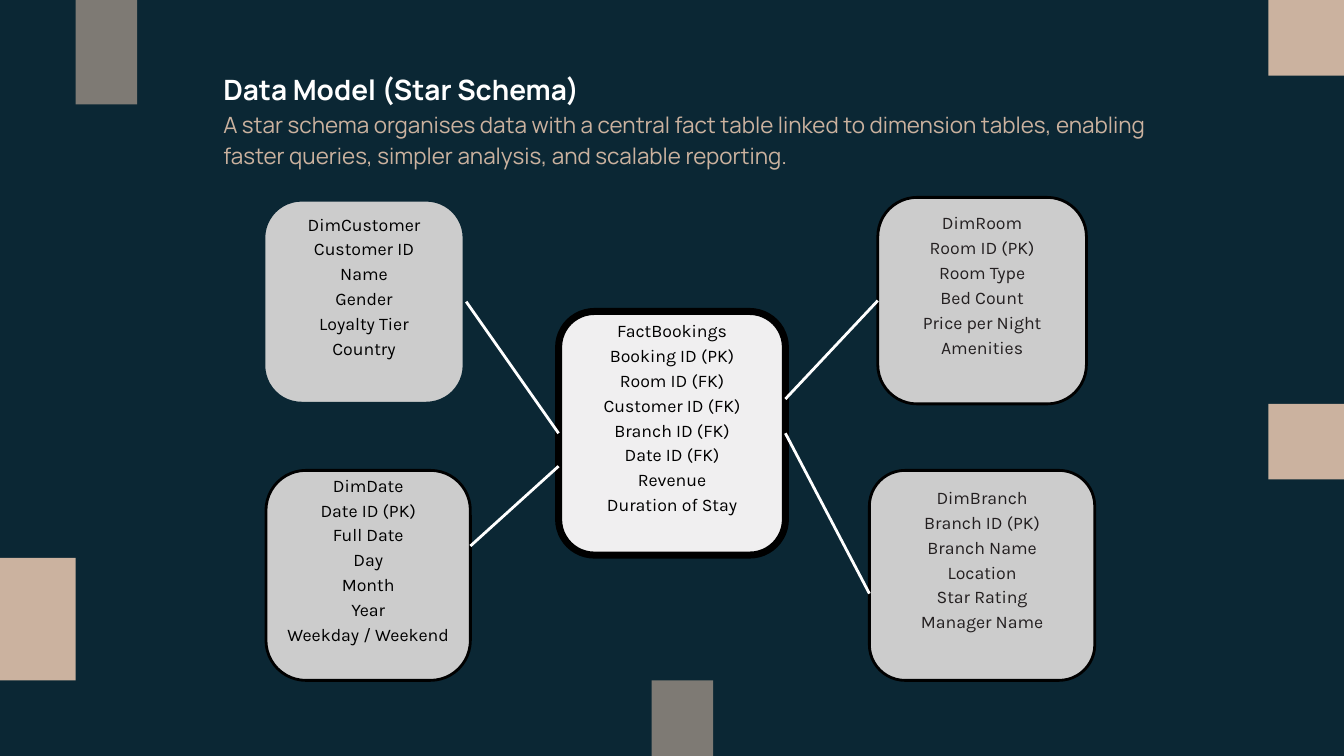
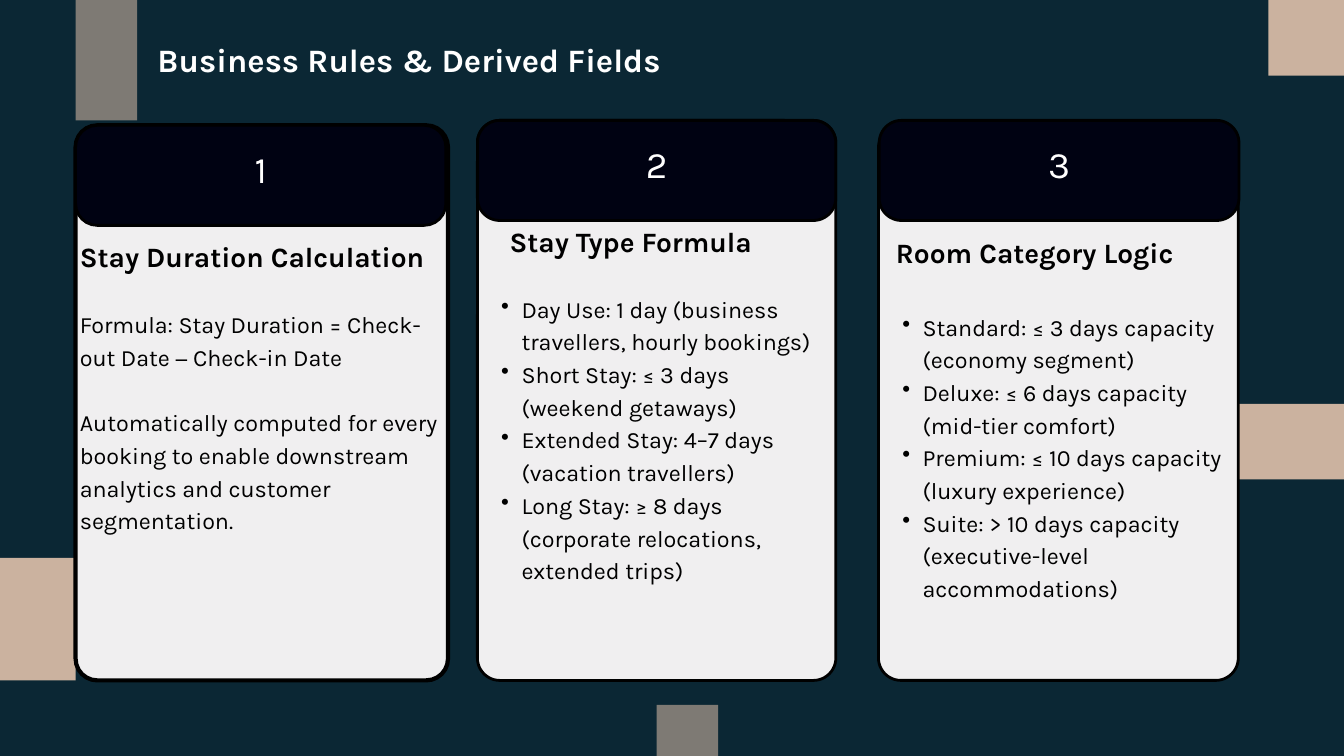
from lxml.etree import SubElement
from pptx import Presentation
from pptx.dml.color import RGBColor
from pptx.enum.shapes import MSO_CONNECTOR, MSO_SHAPE
from pptx.enum.text import MSO_ANCHOR, MSO_AUTO_SIZE, PP_ALIGN
from pptx.oxml.ns import qn
from pptx.util import Emu, Pt

NAVY = RGBColor(0x0B, 0x27, 0x34)
SAND = RGBColor(0xCB, 0xB2, 0x9F)
INK = RGBColor(0x00, 0x02, 0x12)
BLACK = RGBColor(0x00, 0x00, 0x00)
CHARCOAL = RGBColor(0x23, 0x1F, 0x20)
GREY = RGBColor(0xCC, 0xCC, 0xCC)
PALE = RGBColor(0xF0, 0xEF, 0xF0)
WHITE = RGBColor(0xFF, 0xFF, 0xFF)

KARLA = "Karla"
MANROPE = "Manrope"
TITLE_ONLY = 5
LEFT_SIDE, RIGHT_SIDE = 1, 3
INSET = 6
TEXT_RISE = 15  # entity text starts this far above its frame
ENTITY_FOOT = 41  # space kept free below the entity text


def px(length):
    """96 px to the inch."""
    return Emu(length * 9525)


def place(area):
    return [px(length) for length in area]


# Text

def set_frame(shape, margins=(0, 0, 0, 0), anchor=MSO_ANCHOR.TOP):
    frame = shape.text_frame
    frame.word_wrap = True
    frame.auto_size = MSO_AUTO_SIZE.NONE
    frame.vertical_anchor = anchor
    (frame.margin_left, frame.margin_top,
     frame.margin_right, frame.margin_bottom) = place(margins)
    return frame


def style(paragraph, font, size, color, bold=False, align=PP_ALIGN.LEFT,
          before=0, leading=1.4):
    paragraph.alignment = align
    paragraph.line_spacing = Pt(size * leading)
    paragraph.space_before = Pt(before)
    paragraph.font.name = font
    paragraph.font.size = Pt(size)
    paragraph.font.bold = bold
    paragraph.font.color.rgb = color


def write(frame, lines, *look, **more):
    for index, line in enumerate(lines):
        paragraph = frame.paragraphs[0] if index == 0 else frame.add_paragraph()
        paragraph.text = line
        style(paragraph, *look, **more)


def indent(paragraph, left, first=0, bullet=False):
    properties = paragraph._p.get_or_add_pPr()
    properties.set("marL", str(px(left)))
    properties.set("indent", str(px(first)))
    if bullet:
        SubElement(properties, qn("a:buChar")).set("char", "•")


def set_title(page, text, area, font, size):
    title = page.shapes.title
    title.left, title.top, title.width, title.height = place(area)
    write(set_frame(title), [text], font, size, WHITE, bold=True)


# Shapes

def add_block(page, area, opacity=None):
    block = page.shapes.add_shape(MSO_SHAPE.RECTANGLE, *place(area))
    block.shadow.inherit = False
    block.fill.solid()
    block.fill.fore_color.rgb = SAND
    block.line.fill.background()
    if opacity:
        color = block.fill._xPr.find(".//" + qn("a:srgbClr"))
        SubElement(color, qn("a:alpha")).set("val", str(opacity * 1000))


def add_rounded(page, area, radius, fill, line, weight):
    shape = page.shapes.add_shape(MSO_SHAPE.ROUNDED_RECTANGLE, *place(area))
    shape.shadow.inherit = False
    shape.adjustments[0] = radius / min(area[2:])
    shape.fill.solid()
    shape.fill.fore_color.rgb = fill
    shape.line.color.rgb = line
    shape.line.width = Pt(weight)
    return shape


def add_page(deck, top_height, foot, right_left):
    """Title page with the blocks along its edges."""
    page = deck.slides.add_slide(deck.slide_layouts[TITLE_ONLY])
    page.background.fill.solid()
    page.background.fill.fore_color.rgb = NAVY
    add_block(page, (1812, 0, 108, 108))
    add_block(page, (0, 797, 108, 175))
    add_block(page, (*foot, 88, 272), opacity=60)
    add_block(page, (108, -179, 88, top_height), opacity=60)
    add_block(page, (right_left, 577, 2108 - right_left, 108))
    return page


def add_entity(page, area, radius, fields, color=BLACK, fill=GREY,
               line=BLACK, weight=3):
    entity = add_rounded(page, area, radius, fill, line, weight)
    left, top, width, height = area
    box = page.shapes.add_textbox(
        *place((left, top - TEXT_RISE, width, height + TEXT_RISE)))
    frame = set_frame(box, (INSET, INSET, INSET, ENTITY_FOOT), MSO_ANCHOR.MIDDLE)
    write(frame, fields, KARLA, 19, color, align=PP_ALIGN.CENTER)
    return entity


def add_link(page, start, end):
    """Each end is a point, or a shape with the number of its side."""
    link = page.shapes.add_connector(MSO_CONNECTOR.STRAIGHT, 0, 0, 0, 0)
    if isinstance(start[0], int):
        link.begin_x, link.begin_y = place(start)
    else:
        link.begin_connect(*start)
    if isinstance(end[0], int):
        link.end_x, link.end_y = place(end)
    else:
        link.end_connect(*end)
    link.line.color.rgb = WHITE
    link.line.width = Pt(3)
    SubElement(link._element.spPr, qn("a:effectLst"))


def add_card(page, area, header, radius, weight, number, heading,
             heading_top, heading_indent, items, gaps, bullets=True):
    add_rounded(page, area, radius, PALE, BLACK, weight)

    # Numbered band
    band = add_rounded(page, header, radius, INK, BLACK, 3)
    frame = set_frame(band, (0, 0, 0, 30), MSO_ANCHOR.MIDDLE)
    write(frame, [number], KARLA, 40, WHITE, align=PP_ALIGN.CENTER)

    # Heading and rules
    left, top, width, height = area
    box = page.shapes.add_textbox(
        *place((left, heading_top, width, top + height - heading_top)))
    frame = set_frame(box, (INSET, 0, INSET, 0))
    write(frame, [heading], KARLA, 30, BLACK, bold=True)
    indent(frame.paragraphs[0], heading_indent)
    for item, gap in zip(items, gaps):
        paragraph = frame.add_paragraph()
        paragraph.text = item
        if bullets:
            indent(paragraph, 57, -29, bullet=True)
        style(paragraph, KARLA, 25, BLACK, before=gap)


# Slides

def build_star_schema(deck):
    page = add_page(deck, 328, (931, 972), 1812)
    set_title(page, "Data Model (Star Schema)", (319, 96, 1371, 56), MANROPE, 30)
    subtitle = page.shapes.add_textbox(*place((319, 152, 1371, 90)))
    write(set_frame(subtitle), [
        "A star schema organises data with a central fact table linked to "
        "dimension tables, enabling faster queries, simpler analysis, and "
        "scalable reporting."], MANROPE, 24, SAND)

    bookings = add_entity(
        page, (798, 445, 324, 348), 51,
        ["FactBookings", "Booking ID (PK)", "Room ID (FK)", "Customer ID (FK)",
         "Branch ID (FK)", "Date ID (FK)", "Revenue", "Duration of Stay"],
        fill=PALE, weight=7.5)
    add_entity(
        page, (380, 672, 292, 300), 57,
        ["DimDate", "Date ID (PK)", "Full Date", "Day", "Month", "Year",
         "Weekday / Weekend"])
    room = add_entity(
        page, (1254, 282, 298, 295), 56,
        ["DimRoom", "Room ID (PK)", "Room Type", "Bed Count",
         "Price per Night", "Amenities"], color=CHARCOAL)
    customer = add_entity(
        page, (374, 283, 292, 296), 57,
        ["DimCustomer", "Customer ID", "Name", "Gender", "Loyalty Tier",
         "Country"], line=NAVY, weight=7.5)
    add_entity(
        page, (1242, 672, 322, 300), 51,
        ["DimBranch", "Branch ID (PK)", "Branch Name", "Location",
         "Star Rating", "Manager Name"], color=CHARCOAL)

    add_link(page, (customer, RIGHT_SIDE), (bookings, LEFT_SIDE))
    add_link(page, (bookings, RIGHT_SIDE), (1242, 848))
    add_link(page, (672, 780), (798, 666))
    add_link(page, (1122, 570), (room, LEFT_SIDE))


def build_business_rules(deck):
    page = add_page(deck, 351, (938, 1007), 1770)
    set_title(page, "Business Rules & Derived Fields", (225, 48, 914, 61),
              KARLA, 35)
    add_card(
        page, (108, 179, 532, 793), (108, 179, 529, 143), 31, 4.5,
        "1", "Stay Duration Calculation", 334, 0,
        ["Formula: Stay Duration = Check-out Date − Check-in Date",
         "Automatically computed for every booking to enable downstream "
         "analytics and customer segmentation."],
        (35, 35), bullets=False)
    add_card(
        page, (682, 172, 512, 800), (682, 172, 512, 143), 32, 3,
        "2", "Stay Type Formula", 312, 40,
        ["Day Use: 1 day (business travellers, hourly bookings)",
         "Short Stay: ≤ 3 days (weekend getaways)",
         "Extended Stay: 4–7 days (vacation travellers)",
         "Long Stay: ≥ 8 days (corporate relocations, extended trips)"],
        (35, 0, 0, 0))
    add_card(
        page, (1255, 179, 514, 793), (1256, 172, 514, 143), 32, 3,
        "3", "Room Category Logic", 328, 19,
        ["Standard: ≤ 3 days capacity (economy segment)",
         "Deluxe: ≤ 6 days capacity (mid-tier comfort)",
         "Premium: ≤ 10 days capacity (luxury experience)",
         "Suite: > 10 days capacity (executive-level accommodations)"],
        (42, 0, 0, 0))


def main():
    deck = Presentation()
    deck.slide_width, deck.slide_height = px(1920), px(1080)
    build_star_schema(deck)
    build_business_rules(deck)
    deck.save("out.pptx")


if __name__ == "__main__":
    main()
